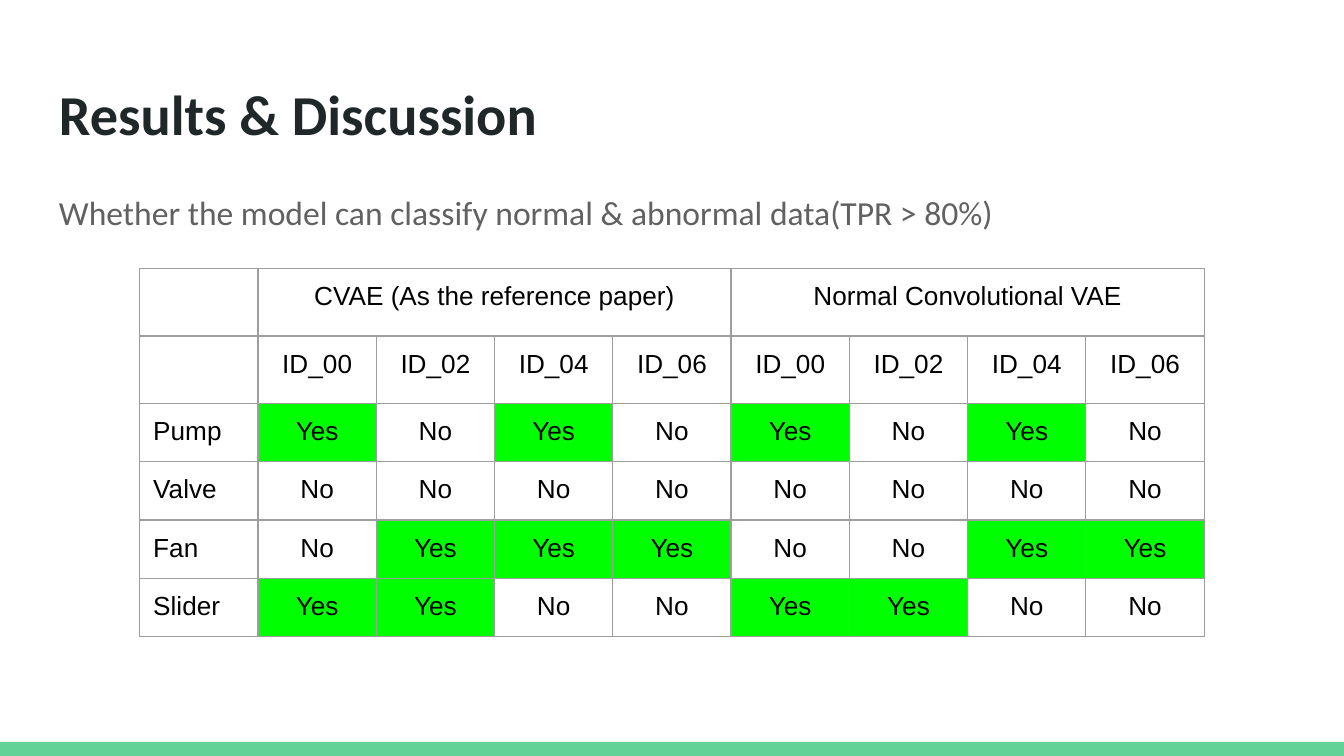
from lxml import etree
from pptx import Presentation
from pptx.dml.color import RGBColor
from pptx.enum.shapes import MSO_SHAPE
from pptx.enum.text import MSO_ANCHOR, PP_ALIGN
from pptx.oxml.ns import qn
from pptx.util import Inches, Pt

RECT = MSO_SHAPE.RECTANGLE
TOP = MSO_ANCHOR.TOP
LEFT, CENTER = PP_ALIGN.LEFT, PP_ALIGN.CENTER

GREEN_BAR = RGBColor(0x63, 0xD2, 0x97)
YES_GREEN = RGBColor(0x00, 0xFF, 0x00)
TITLE_INK = RGBColor(0x20, 0x27, 0x29)
BODY_GREY = RGBColor(0x61, 0x61, 0x61)
BORDER = RGBColor(0x9E, 0x9E, 0x9E)
BLACK = RGBColor(0, 0, 0)

W = 10
H = W * 9 / 16
MARGIN = 0.34
INSET = Inches(0.1)
COL_W, ROW_H = 0.88, 0.42

MODELS = ["CVAE (As the reference paper)", "Normal Convolutional VAE"]
IDS = ["ID_00", "ID_02", "ID_04", "ID_06"]
RESULTS = {
    "Pump": "Yes No Yes No Yes No Yes No",
    "Valve": "No No No No No No No No",
    "Fan": "No Yes Yes Yes No No Yes Yes",
    "Slider": "Yes Yes No No Yes Yes No No",
}


def style(p, name, size, color, bold=False):
    p.font.name, p.font.size, p.font.bold = name, Pt(size), bold
    p.font.color.rgb = color


def set_insets(box):
    box.margin_left = box.margin_right = INSET
    box.margin_top = box.margin_bottom = INSET


def add_text(s, box, text, size, color, bold=False, spacing=1.0):
    tf = s.shapes.add_textbox(*map(Inches, box)).text_frame
    tf.word_wrap = True
    tf.vertical_anchor = TOP
    set_insets(tf)
    p = tf.paragraphs[0]
    p.text = text
    p.line_spacing = spacing
    style(p, "Calibri", size, color, bold)


def add_footer_bar(s, box):
    bar = s.shapes.add_shape(RECT, *map(Inches, box))
    bar.shadow.inherit = False
    bar.fill.solid()
    bar.fill.fore_color.rgb = GREEN_BAR
    bar.line.fill.background()


def add_borders(cell):
    tcPr = cell._tc.get_or_add_tcPr()
    for i, side in enumerate(("a:lnL", "a:lnR", "a:lnT", "a:lnB")):
        ln = etree.Element(qn(side), w=str(Pt(0.75)))
        fill = etree.SubElement(ln, qn("a:solidFill"))
        etree.SubElement(fill, qn("a:srgbClr"), val=str(BORDER))
        tcPr.insert(i, ln)


def fill_cell(cell, text, align):
    """Style one cell; the larger size of empty cells sets the header height."""
    set_insets(cell)
    cell.vertical_anchor = TOP
    p = cell.text_frame.paragraphs[0]
    p.text = text
    p.alignment = align
    style(p, "Arial", 14 if text else 18, BLACK)
    if text == "Yes":
        cell.fill.solid()
        cell.fill.fore_color.rgb = YES_GREEN
    else:
        cell.fill.background()
    add_borders(cell)


def add_results_table(s, left, top):
    span = len(IDS)
    model_row = [""]
    for model in MODELS:
        model_row += [model] + [""] * (span - 1)
    rows = [model_row, [""] + IDS * len(MODELS)]
    rows += [[machine] + marks.split() for machine, marks in RESULTS.items()]
    n_rows, n_cols = len(rows), len(model_row)

    table = s.shapes.add_table(n_rows, n_cols, Inches(left), Inches(top),
                               Inches(COL_W * n_cols), Inches(ROW_H * n_rows)).table
    table.first_row = table.horz_banding = False
    for col in table.columns:
        col.width = Inches(COL_W)
    for r, texts in enumerate(rows):
        table.rows[r].height = Inches(ROW_H)
        for c, text in enumerate(texts):
            fill_cell(table.cell(r, c), text, CENTER if c else LEFT)
    for c in range(1, n_cols, span):
        table.cell(0, c).merge(table.cell(0, c + span - 1))


def main():
    prs = Presentation()
    prs.slide_width, prs.slide_height = Inches(W), Inches(H)
    s = prs.slides.add_slide(prs.slide_layouts[6])
    text_w = W - 2 * MARGIN
    add_footer_bar(s, (0, 5.52, W, H - 5.52))
    add_text(s, (MARGIN, 0.49, text_w, 0.63), "Results & Discussion",
             30.2, TITLE_INK, bold=True)
    add_text(s, (MARGIN, 1.28, text_w, 3.74),
             "Whether the model can classify normal & abnormal data(TPR > 80%)",
             18, BODY_GREY, spacing=1.15)
    add_results_table(s, 1.04, 2)
    prs.save("out.pptx")


if __name__ == "__main__":
    main()
